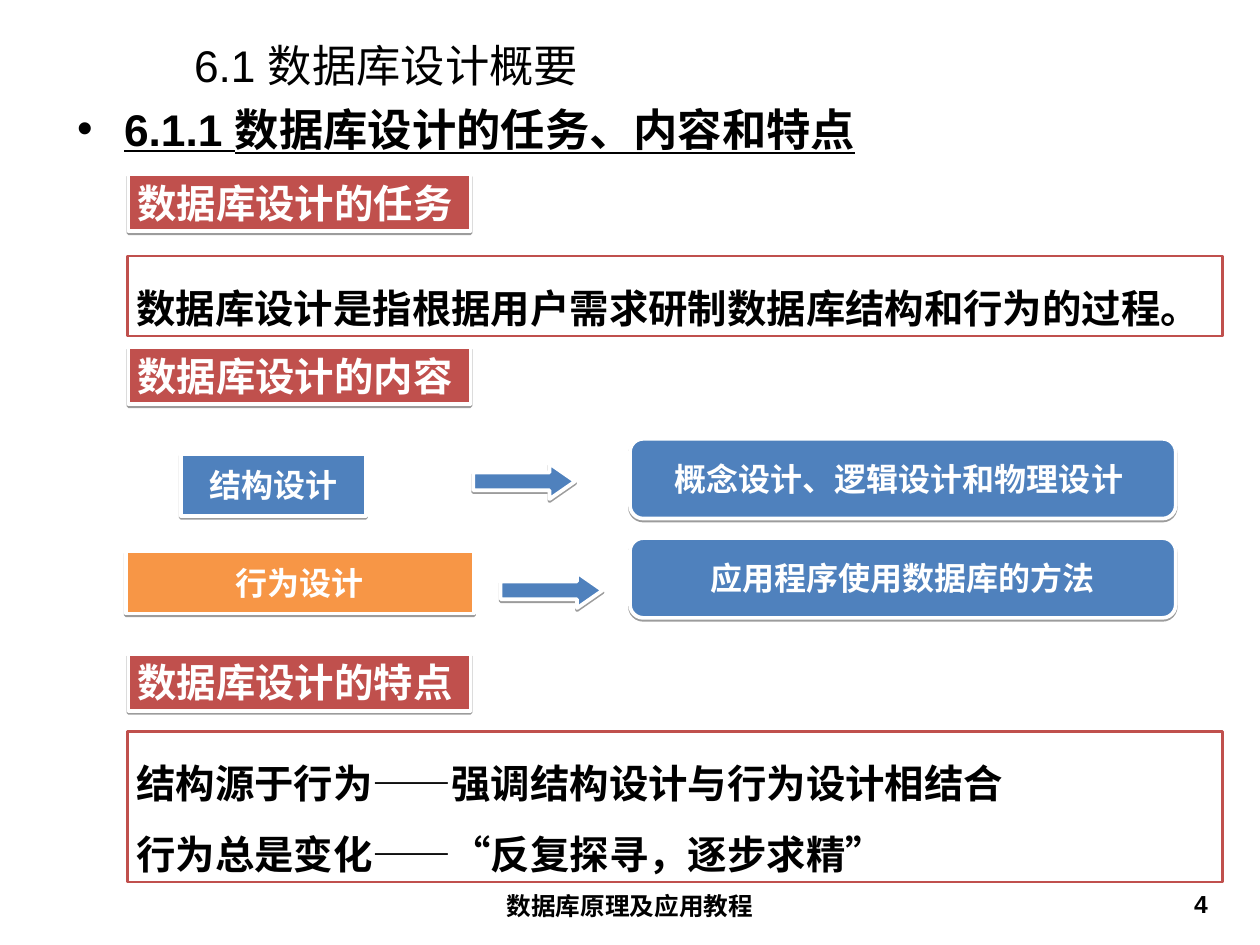
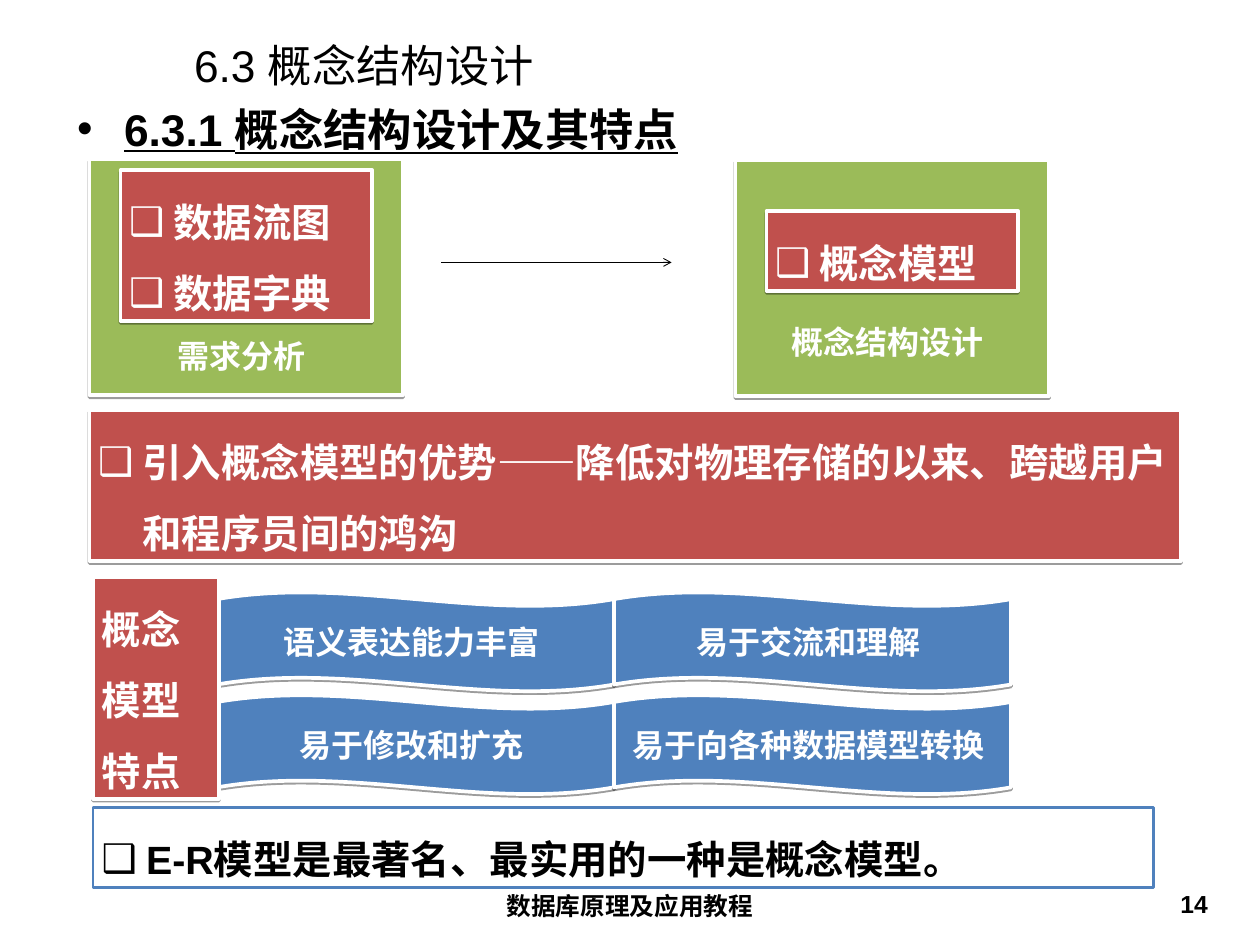
from lxml.etree import SubElement
from pptx import Presentation
from pptx.dml.color import RGBColor
from pptx.enum.lang import MSO_LANGUAGE_ID
from pptx.enum.shapes import MSO_CONNECTOR, MSO_SHAPE
from pptx.enum.text import MSO_ANCHOR, MSO_AUTO_SIZE, PP_ALIGN
from pptx.oxml.ns import qn
from pptx.util import Inches, Pt

BLACK = RGBColor(0x00, 0x00, 0x00)
WHITE = RGBColor(0xFF, 0xFF, 0xFF)
RED = RGBColor(0xC0, 0x50, 0x4D)
BLUE = RGBColor(0x4F, 0x81, 0xBD)
GREEN = RGBColor(0x9B, 0xBB, 0x59)
ORANGE = RGBColor(0xF7, 0x96, 0x46)
FONT = "Arial"
FOOTER = "数据库原理及应用教程"
NARROW = (0.1, 0.05)
WIDE = (0.14, 0.07)

# Slide 1: (text, top)
HEADINGS = [
    ("数据库设计的任务 ", 1.97),
    ("数据库设计的内容 ", 3.92),
    ("数据库设计的特点 ", 7.38),
]
# (lines, top, height)
STATEMENTS = [
    (["数据库设计是指根据用户需求研制数据库结构和行为的过程。"], 2.89, 0.9),
    (["结构源于行为——强调结构设计与行为设计相结合",
      "行为总是变化——“反复探寻，逐步求精”"], 8.25, 1.7),
]
# (design, colour, box, arrow left and top, result, result top)
DESIGNS = [
    ("结构设计", BLUE, (2.04, 5.12, 2.09, 0.7), (5.34, 5.23),
     "概念设计、逻辑设计和物理设计 ", 4.95),
    ("行为设计", ORANGE, (1.42, 6.22, 3.93, 0.7), (5.65, 6.46),
     "应用程序使用数据库的方法", 6.07),
]

# Slide 2: (panel left and top, inner list, list box, caption, caption box)
PHASES = [
    ((1.01, 1.8), ["数据流图", "数据字典"], (1.36, 1.92, 2.84, 1.7),
     "需求分析", (1.9, 3.75, 1.76, 0.54)),
    ((8.3, 1.81), ["概念模型"], (8.65, 2.38, 2.84, 0.9),
     "概念结构设计", (8.83, 3.59, 2.49, 0.54)),
]
ADVANTAGE = "引入概念模型的优势——降低对物理存储的以来、跨越用户和程序员间的鸿沟"
FEATURES_LABEL = "概念模型特点"
FEATURES = ["语义表达能力丰富 ", "易于交流和理解 ",
            "易于修改和扩充 ", "易于向各种数据模型转换 "]
ER_NOTE = "E-R模型是最著名、最实用的一种是概念模型。"


def set_bullet(p, char, color, indent):
    pPr = p._p.get_or_add_pPr()
    pPr.set("marL", str(Inches(indent)))
    pPr.set("indent", str(-Inches(indent)))
    clr = SubElement(pPr, qn("a:buClr"))
    SubElement(clr, qn("a:srgbClr")).set("val", str(color))
    SubElement(pPr, qn("a:buFont")).set("typeface", FONT)
    SubElement(pPr, qn("a:buChar")).set("char", char)


def write(shape, lines, size, color, bold=True, underline=None, align=PP_ALIGN.LEFT,
          anchor=MSO_ANCHOR.TOP, inset=NARROW, wrap=True, spacing=1.0,
          bullet=None, indent=0.5):
    tf = shape.text_frame
    tf.text = "\n".join(lines)
    tf.word_wrap = wrap
    tf.auto_size = MSO_AUTO_SIZE.NONE
    tf.vertical_anchor = anchor
    tf.margin_left = tf.margin_right = Inches(inset[0])
    tf.margin_top = tf.margin_bottom = Inches(inset[1])
    for p in tf.paragraphs:
        if bullet:
            set_bullet(p, bullet, color, indent)
        p.alignment = align
        p.line_spacing = spacing
        p.space_before = Pt(0)
        for r in p.runs:
            r.font.name, r.font.size = FONT, Pt(size)
            r.font.bold, r.font.underline = bold, underline
            r.font.color.rgb = color
            r.font.language_id = MSO_LANGUAGE_ID.SIMPLIFIED_CHINESE


def place(shape, box):
    shape.left, shape.top, shape.width, shape.height = map(Inches, box)


def add_text(s, text, box, size, color, **style):
    write(s.shapes.add_textbox(*map(Inches, box)), [text], size, color, **style)


def add_solid(s, kind, box, color):
    """Filled shape with a white outline and a thin hard shadow below."""
    sp = s.shapes.add_shape(kind, *map(Inches, box))
    sp.fill.solid()
    sp.fill.fore_color.rgb = color
    sp.line.color.rgb = WHITE
    sp.line.width = Pt(3)
    sp.shadow.inherit = False
    effects = sp._element.spPr.find(qn("a:effectLst"))
    shadow = SubElement(effects, qn("a:outerShdw"), blurRad="0", dist=str(Pt(1.6)),
                        dir="5400000", algn="ctr", rotWithShape="0")
    clr = SubElement(shadow, qn("a:srgbClr"), val=str(BLACK))
    SubElement(clr, qn("a:alpha"), val="38000")
    return sp


def add_framed(s, lines, box, color, **style):
    """White box with a thin coloured frame and black text."""
    sp = s.shapes.add_shape(MSO_SHAPE.RECTANGLE, *map(Inches, box))
    sp.fill.solid()
    sp.fill.fore_color.rgb = WHITE
    sp.line.color.rgb = color
    sp.line.width = Pt(2)
    sp.shadow.inherit = False
    write(sp, lines, 32, BLACK, spacing=1.5, **style)


def add_red_box(s, lines, box, **style):
    sp = add_solid(s, MSO_SHAPE.RECTANGLE, box, RED)
    write(sp, lines, 32, WHITE, **style)


def add_label(s, kind, text, box, color):
    sp = add_solid(s, kind, box, color)
    write(sp, [text], 26, WHITE, align=PP_ALIGN.CENTER, anchor=MSO_ANCHOR.MIDDLE,
          inset=WIDE, wrap=False)
    return sp


def add_base_slide(prs, title, subtitle, number):
    s = prs.slides.add_slide(prs.slide_layouts[1])
    body = s.placeholders[1]
    place(s.shapes.title, (2.05, 0.45, 11.83, 0.57))
    write(s.shapes.title, [title], 36, BLACK, bold=False,
          anchor=MSO_ANCHOR.MIDDLE, inset=WIDE)
    place(body, (0.73, 1.08, 12.8, 0.89))
    write(body, [subtitle], 36, BLACK, underline=True, inset=WIDE,
          bullet="•", indent=0.53)
    add_text(s, FOOTER, (4.86, 9.98, 4.5, 0.55), 20, BLACK,
             align=PP_ALIGN.CENTER, inset=WIDE)
    add_text(s, str(number), (10.41, 9.98, 3.32, 0.55), 20, BLACK,
             align=PP_ALIGN.RIGHT)
    return s


def build_overview(prs):
    s = add_base_slide(prs, "6.1 数据库设计概要",
                       "6.1.1 数据库设计的任务、内容和特点", 4)
    for text, top in HEADINGS:
        add_red_box(s, [text], (1.45, top, 3.86, 0.64),
                    align=PP_ALIGN.CENTER, wrap=False)
    for lines, top, height in STATEMENTS:
        add_framed(s, lines, (1.44, top, 12.36, height), RED)
    for design, color, box, arrow_at, result, top in DESIGNS:
        add_label(s, MSO_SHAPE.RECTANGLE, design, box, color)
        arrow = add_solid(s, MSO_SHAPE.RIGHT_ARROW, (*arrow_at, 1.15, 0.4), BLUE)
        arrow.adjustments[1] = 0.72
        add_label(s, MSO_SHAPE.FLOWCHART_ALTERNATE_PROCESS, result,
                  (7.11, top, 6.16, 0.9), BLUE)


def build_concept(prs):
    s = add_base_slide(prs, "6.3 概念结构设计", "6.3.1 概念结构设计及其特点", 14)
    for panel_at, items, list_box, caption, caption_box in PHASES:
        add_solid(s, MSO_SHAPE.RECTANGLE, (*panel_at, 3.54, 2.66), GREEN)
        add_red_box(s, items, list_box, spacing=1.5, bullet="❑")
        add_text(s, caption, caption_box, 26, WHITE)

    arrow = s.shapes.add_connector(MSO_CONNECTOR.STRAIGHT, Inches(4.98), Inches(2.96),
                                   Inches(7.58), Inches(2.96))
    arrow.line.color.rgb = BLACK
    arrow.line.width = Pt(0.75)
    SubElement(arrow.line._get_or_add_ln(), qn("a:tailEnd"), type="arrow")
    SubElement(arrow._element.spPr, qn("a:effectLst"))

    for i, text in enumerate(FEATURES):
        row, col = divmod(i, 2)
        wave = add_label(s, MSO_SHAPE.WAVE, text,
                         (2.45 + col * 4.48, 6.68 + row * 1.16, 4.48, 1.12), BLUE)
        wave.adjustments[0] = 0.07
    add_framed(s, [ER_NOTE], (1.05, 9.11, 11.97, 0.9), BLUE, bullet="❑")
    add_red_box(s, [ADVANTAGE], (1.01, 4.63, 12.32, 1.7), spacing=1.5, bullet="❑")
    add_red_box(s, [FEATURES_LABEL], (1.05, 6.51, 1.42, 2.5), spacing=1.5)


def main():
    prs = Presentation()
    prs.slide_width, prs.slide_height = Inches(14.22), Inches(10.66)
    build_overview(prs)
    build_concept(prs)
    prs.save("out.pptx")


if __name__ == "__main__":
    main()
